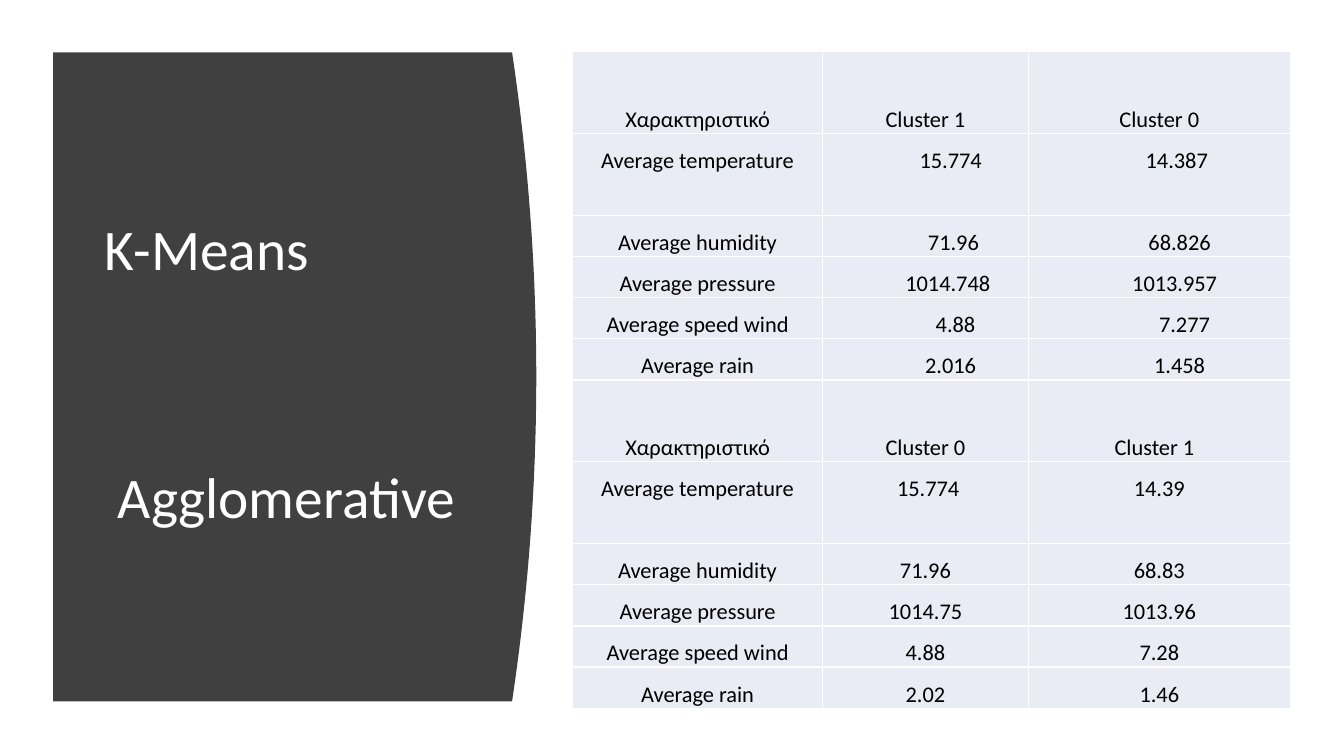
from dataclasses import dataclass

from lxml import etree
from pptx import Presentation
from pptx.dml.color import RGBColor
from pptx.enum.text import MSO_ANCHOR, MSO_AUTO_SIZE, PP_ALIGN
from pptx.oxml.ns import qn
from pptx.util import Pt

TOP, MIDDLE, BOTTOM = MSO_ANCHOR.TOP, MSO_ANCHOR.MIDDLE, MSO_ANCHOR.BOTTOM
LEFT, CENTER = PP_ALIGN.LEFT, PP_ALIGN.CENTER
NO_AUTOFIT = MSO_AUTO_SIZE.NONE
TITLE_ONLY = 5


@dataclass(frozen=True)
class Theme:
    font: str = "Calibri"
    panel: str = "404040"
    cell: str = "E9EBF5"
    border: str = "FFFFFF"
    heading: str = "FFFFFF"
    text: str = "000000"
    heading_size: float = 41
    text_size: float = 16


def apply_format(target, values):
    for key, value in values.items():
        setattr(target, key, value)


class ClusterSlide:
    def __init__(self, deck, theme):
        self.theme = theme
        self.slide = deck.slides.add_slide(deck.slide_layouts[TITLE_ONLY])

    def add_text(self, paragraph, text, size, color, **layout):
        run = paragraph.add_run()
        run.text = text
        apply_format(run.font, {"name": self.theme.font, "size": Pt(size)})
        run.font.color.rgb = RGBColor.from_string(color)
        apply_format(paragraph, layout)

    def panel(self, left, top, right, bottom, bulge, steps=40):
        middle, half = (top + bottom) / 2, (bottom - top) / 2
        heights = [top + (bottom - top) * i / steps for i in range(steps + 1)]
        curve = [(right + bulge * (1 - ((y - middle) / half) ** 2), y) for y in heights]
        outline = self.slide.shapes.build_freeform(Pt(left), Pt(top))
        outline.add_line_segments(
            [(Pt(x), Pt(y)) for x, y in curve] + [(Pt(left), Pt(bottom))], close=True
        )
        panel = outline.convert_to_shape()
        panel.shadow.inherit = False
        panel.fill.solid()
        panel.fill.fore_color.rgb = RGBColor.from_string(self.theme.panel)
        panel.line.fill.background()

    def title(self, headings, left, top, width, height, gap, indent):
        title = self.slide.shapes.title
        apply_format(title, {"left": Pt(left), "top": Pt(top),
                             "width": Pt(width), "height": Pt(height)})
        frame = title.text_frame
        apply_format(frame, {"word_wrap": True, "auto_size": NO_AUTOFIT,
                             "vertical_anchor": MIDDLE})
        for index, heading in enumerate(headings):
            paragraph = frame.add_paragraph() if index else frame.paragraphs[0]
            self.add_text(paragraph, heading, self.theme.heading_size, self.theme.heading,
                          alignment=LEFT, line_spacing=0.9, space_before=Pt(gap * index))
            properties = paragraph._p.get_or_add_pPr()
            properties.set("marL", str(Pt(indent * index)))
            properties.set("indent", "0")
        title.element.getparent().append(title.element)

    def borders(self, cell):
        properties = cell._tc.get_or_add_tcPr()
        for side in ("lnL", "lnR", "lnT", "lnB"):
            line = etree.SubElement(properties, qn(f"a:{side}"), w=str(Pt(1)))
            fill = etree.SubElement(line, qn("a:solidFill"))
            etree.SubElement(fill, qn("a:srgbClr"), val=self.theme.border)

    def table(self, rows, shifts, left, top, widths, heights):
        frame = self.slide.shapes.add_table(
            len(rows), len(widths), Pt(left), Pt(top), Pt(sum(widths)), Pt(sum(heights))
        )
        table = frame.table
        apply_format(table, {"first_row": False, "horz_banding": False})
        for column, width in zip(table.columns, widths):
            column.width = Pt(width)
        for r, (values, height) in enumerate(zip(rows, heights)):
            table.rows[r].height = Pt(height)
            for c, value in enumerate(values):
                cell, shift = table.cell(r, c), shifts.get((r, c), 0)
                self.borders(cell)
                apply_format(cell, {
                    "margin_left": Pt(7.2 + max(shift, 0)),
                    "margin_right": Pt(7.2 + max(-shift, 0)),
                    "margin_top": 0, "margin_bottom": 0,
                    "vertical_anchor": TOP if r else BOTTOM,
                })
                cell.fill.solid()
                cell.fill.fore_color.rgb = RGBColor.from_string(self.theme.cell)
                self.add_text(cell.text_frame.paragraphs[0], value, self.theme.text_size,
                              self.theme.text, alignment=CENTER, line_spacing=1.5)


FEATURES = ("Χαρακτηριστικό", "Average temperature", "Average humidity",
            "Average pressure", "Average speed wind", "Average rain")
K_MEANS = (
    ("Cluster 1", "15.774", "71.96", "1014.748", "4.88", "2.016"),
    ("Cluster 0", "14.387", "68.826", "1013.957", "7.277", "1.458"),
)
AGGLOMERATIVE = (
    ("Cluster 0", "15.774", "71.96", "1014.75", "4.88", "2.02"),
    ("Cluster 1", "14.39", "68.83", "1013.96", "7.28", "1.46"),
)
K_MEANS_SHIFTS = {
    (1, 1): 36, (2, 1): 40, (3, 1): 32, (4, 1): 43, (5, 1): 36,
    (1, 2): 25, (2, 2): 29, (3, 2): 22, (4, 2): 36, (5, 2): 29,
}
AGGLOMERATIVE_SHIFTS = {(0, 2): -7, (1, 1): 4}
COLUMN_WIDTHS = (178.6, 146.9, 187.2)
ROW_HEIGHTS = (58.5, 58.5) + (29.3,) * 4
TABLE_LEFT, TABLE_TOP = 409, 36.9


def main():
    deck = Presentation()
    apply_format(deck, {"slide_width": Pt(960), "slide_height": Pt(540)})
    comparison = ClusterSlide(deck, Theme())
    comparison.panel(38, 37.4, 365.8, 501.1, 17.3)
    comparison.title(("K-Means", "Agglomerative"), 67.7, 79.9, 269.3, 377.3,
                     gap=133, indent=9.3)
    results = ((K_MEANS, K_MEANS_SHIFTS), (AGGLOMERATIVE, AGGLOMERATIVE_SHIFTS))
    for index, (clusters, shifts) in enumerate(results):
        top = TABLE_TOP + index * (sum(ROW_HEIGHTS) + 0.3)
        comparison.table(list(zip(FEATURES, *clusters)), shifts,
                         TABLE_LEFT, top, COLUMN_WIDTHS, ROW_HEIGHTS)
    deck.save("out.pptx")


if __name__ == "__main__":
    main()
